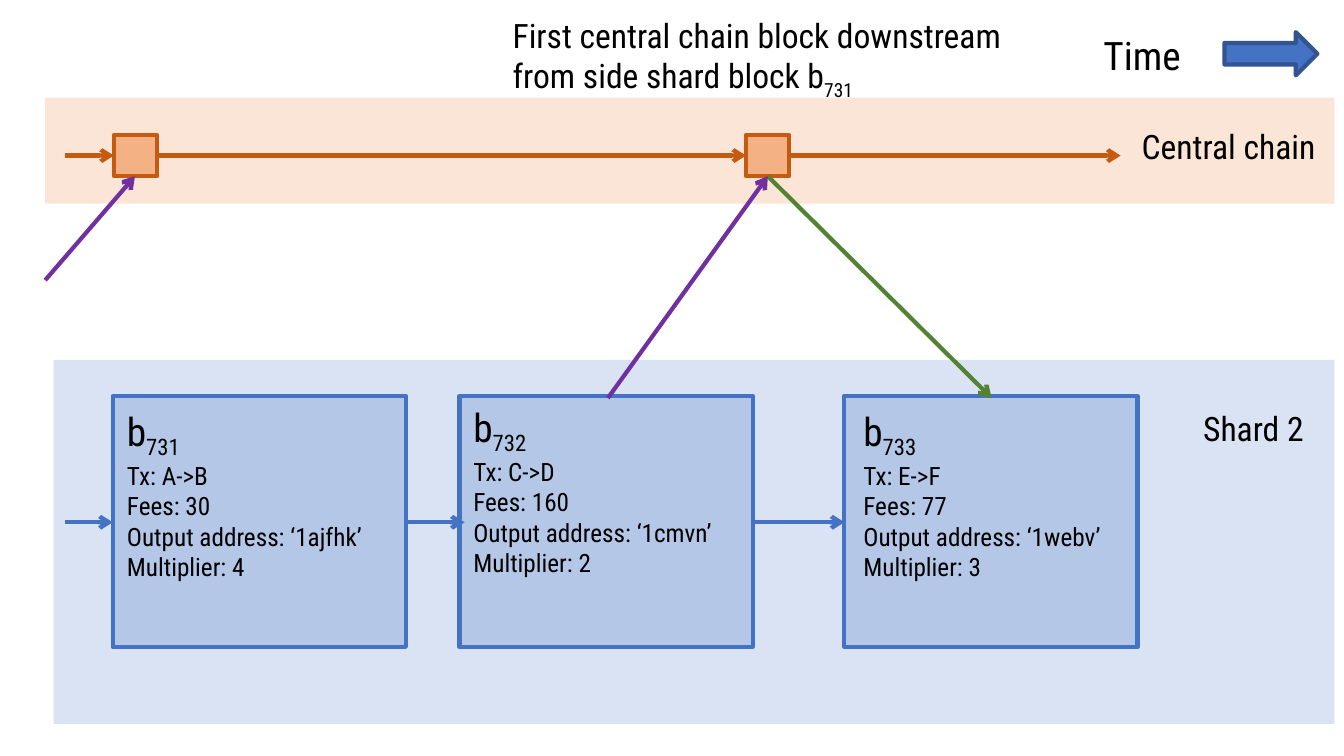
from lxml import etree
from pptx import Presentation
from pptx.dml.color import RGBColor as RGB
from pptx.enum.shapes import MSO_CONNECTOR as CONN, MSO_SHAPE as SHAPE
from pptx.oxml.ns import qn
from pptx.util import Cm, Pt

COLORS = {
    "central_band": "FBE5D6", "shard_band": "DAE3F3",
    "central_fill": "F4B183", "central_line": "C55A11",
    "shard_fill": "B4C7E7", "shard_line": "4472C4",
    "time_line": "325491", "up": "7030A0", "down": "548235", "text": "000000",
}
LINE_WIDTH = Pt(3)

prs = Presentation()
prs.slide_width, prs.slide_height = Cm(33.87), Cm(19.05)
s = prs.slides.add_slide(prs.slide_layouts[6])


def add_box(kind, box, fill, line=None):
    sp = s.shapes.add_shape(kind, *map(Cm, box))
    sp.shadow.inherit = False
    sp.fill.solid()
    sp.fill.fore_color.rgb = RGB.from_string(COLORS[fill])
    if line:
        sp.line.color.rgb = RGB.from_string(COLORS[line])
        sp.line.width = LINE_WIDTH
    else:
        sp.line.fill.background()


def add_text(box, paragraphs):
    tf = s.shapes.add_textbox(*map(Cm, box)).text_frame
    tf.word_wrap = True
    for i, (text, subscript, size) in enumerate(paragraphs):
        p = tf.paragraphs[0] if i == 0 else tf.add_paragraph()
        for part in filter(None, (text, subscript)):
            r = p.add_run()
            r.text = part
            fmt = {"name": "Roboto Condensed", "size": Pt(size)}
            for key, value in fmt.items():
                setattr(r.font, key, value)
            r.font.color.rgb = RGB.from_string(COLORS["text"])
            if part == subscript:
                r._r.get_or_add_rPr().set("baseline", "-25000")


add_box(SHAPE.RECTANGLE, (1.14, 2.46, 32.49, 2.67), "central_band")
add_box(SHAPE.RECTANGLE, (1.35, 9.07, 32.28, 9.17), "shard_band")
add_box(SHAPE.RIGHT_ARROW, (30.86, 0.81, 2.34, 1.09), "shard_line", "time_line")

for x in (2.87, 18.8):
    add_box(SHAPE.RECTANGLE, (x, 3.4, 1.09, 1.04), "central_fill", "central_line")

blocks = [
    (2.84, 2.95, 10.13, "731", "A->B", 30, "1ajfhk", 4),
    (11.58, 11.68, 10.03, "732", "C->D", 160, "1cmvn", 2),
    (21.28, 21.51, 10.13, "733", "E->F", 77, "1webv", 3),
]
for x, text_x, text_y, number, tx, fees, address, multiplier in blocks:
    add_box(SHAPE.RECTANGLE, (x, 9.98, 7.39, 6.32), "shard_fill", "shard_line")
    details = [f"Tx: {tx}", f"Fees: {fees}",
               f"Output address: ‘{address}’", f"Multiplier: {multiplier}"]
    add_text((text_x, text_y, 6.96, 4.52),
             [("b", number, 28)] + [(line, None, 18) for line in details])

CHAIN_Y, SHARD_Y, SQUARE_BOTTOM = 3.92, 13.16, 4.44
arrows = [
    (19.35, SQUARE_BOTTOM, 24.99, 10.03, "down"),
    (19.89, CHAIN_Y, 28.24, CHAIN_Y, "central_line"),
    (3.96, CHAIN_Y, 18.8, CHAIN_Y, "central_line"),
    (1.63, CHAIN_Y, 2.87, CHAIN_Y, "central_line"),
    (1.63, SHARD_Y, 2.84, SHARD_Y, "shard_line"),
    (10.26, SHARD_Y, 11.71, SHARD_Y, "shard_line"),
    (18.97, SHARD_Y, 21.28, SHARD_Y, "shard_line"),
    (15.32, 10.03, 19.35, SQUARE_BOTTOM, "up"),
    (1.14, 7.06, 3.4, SQUARE_BOTTOM, "up"),
]
for *ends, color in arrows:
    c = s.shapes.add_connector(CONN.STRAIGHT, *map(Cm, ends))
    c.line.color.rgb = RGB.from_string(COLORS[color])
    c.line.width = LINE_WIDTH
    etree.SubElement(c.line._get_or_add_ln(), qn("a:tailEnd"), type="arrow")
    etree.SubElement(c._element.spPr, qn("a:effectLst"))

add_text((12.67, 0.25, 12.88, 2.31),
         [("First central chain block downstream from side shard block b", "731", 24)])
add_text((27.56, 0.66, 2.95, 1.45), [("Time", None, 28)])
add_text((28.52, 3.05, 5.35, 1.27), [("Central chain", None, 24)])
add_text((30.07, 10.16, 3.8, 1.27), [("Shard 2", None, 24)])

prs.save("out.pptx")
